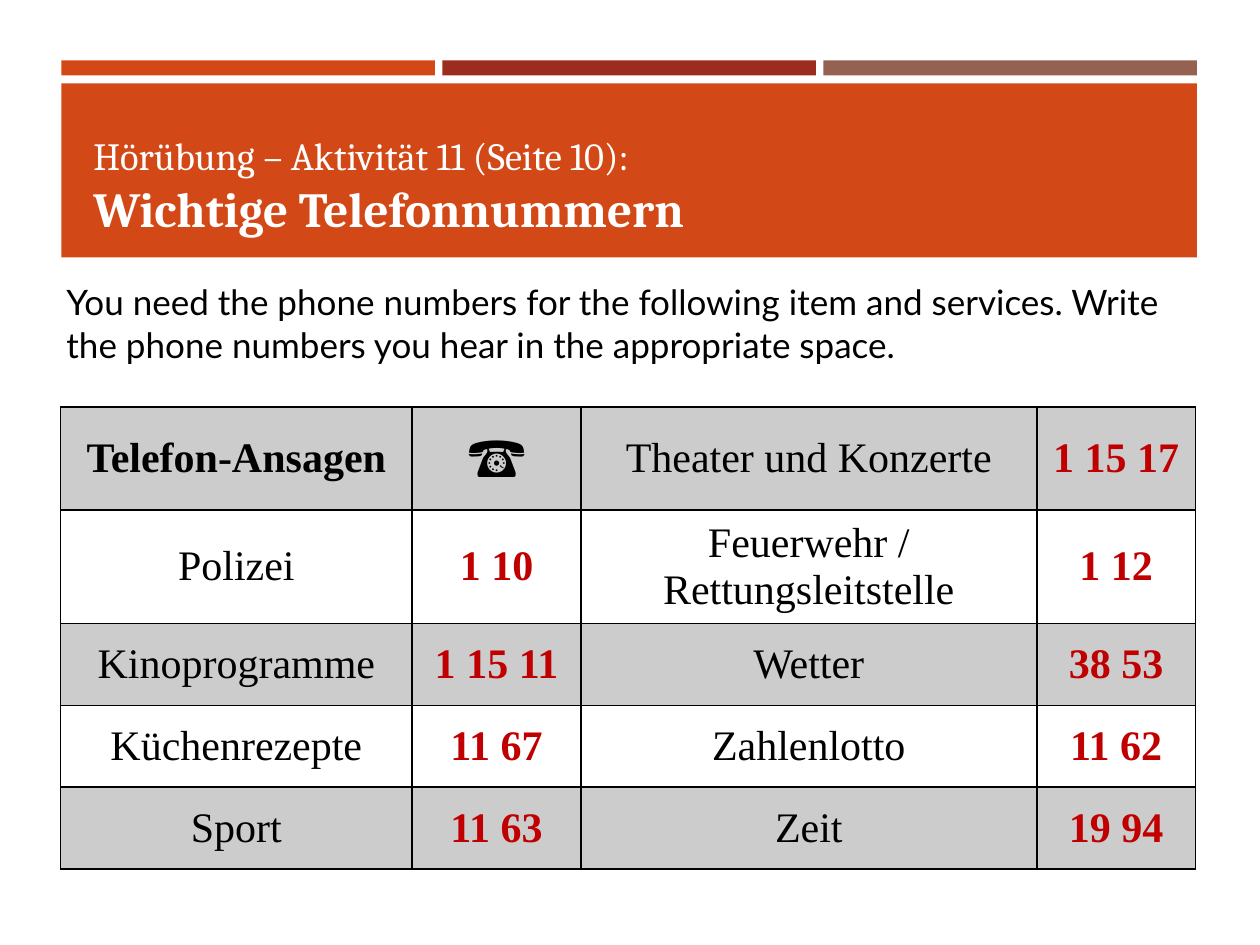
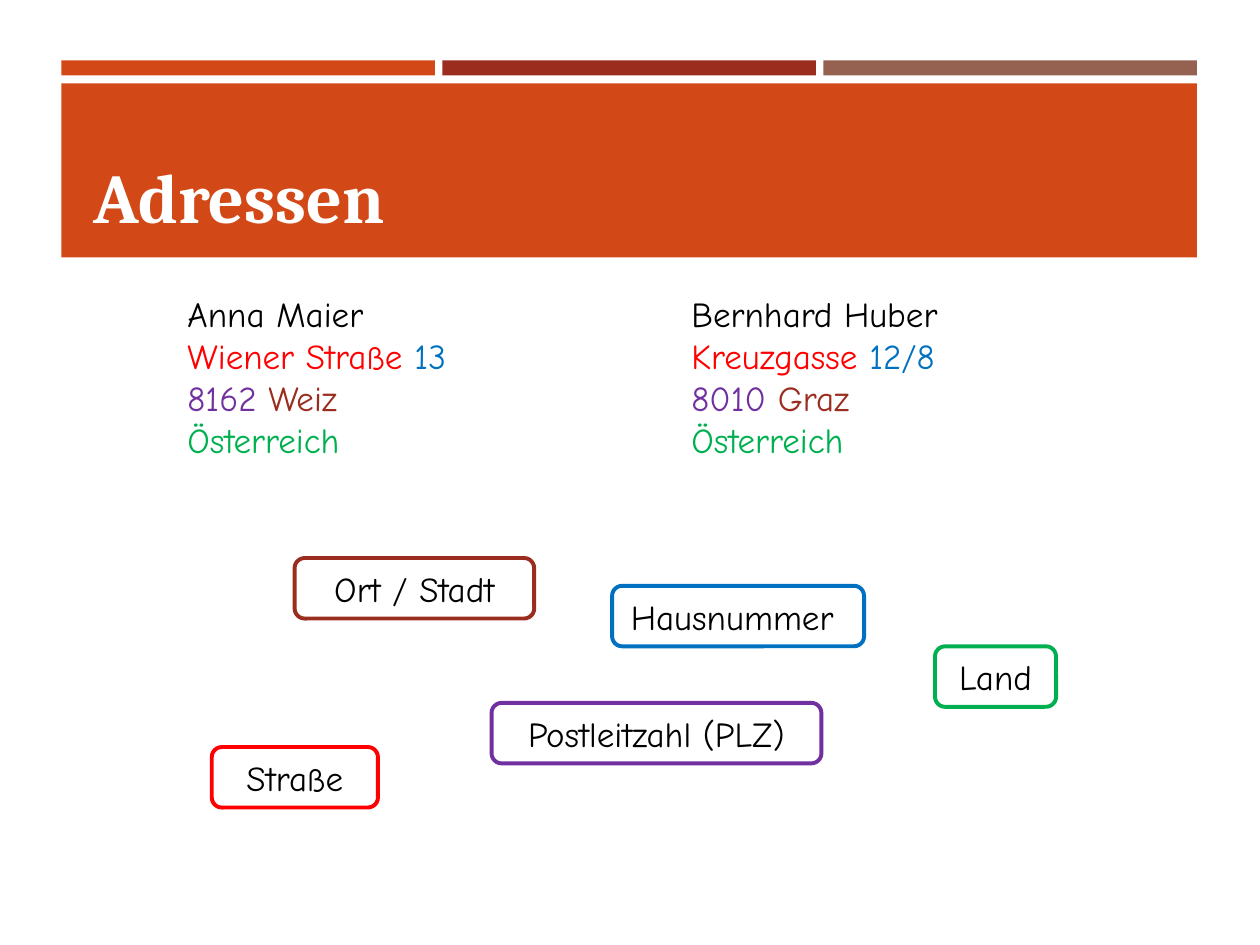
from lxml.etree import SubElement
from pptx import Presentation
from pptx.dml.color import RGBColor
from pptx.enum.shapes import MSO_SHAPE as Shape
from pptx.enum.text import MSO_ANCHOR as Anchor, MSO_AUTO_SIZE as AutoSize, PP_ALIGN as Align
from pptx.oxml.ns import qn
from pptx.util import Cm, Pt

COLORS = {
    "orange": "D34817", "brick": "9B2D1F", "brown": "956251",
    "white": "FFFFFF", "black": "000000", "number": "C00000",
    "red": "FF0000", "blue": "0070C0", "violet": "7030A0", "green": "00B050",
}
FONTS = {"title": "Cambria", "intro": "Lato", "table": "Times New Roman", "address": "Comic Neue"}

PHONE_ROWS = [
    ("Telefon-Ansagen", "☎", "Theater und Konzerte", "1 15 17"),
    ("Polizei", "1 10", "Feuerwehr / Rettungsleitstelle", "1 12"),
    ("Kinoprogramme", "1 15 11", "Wetter", "38 53"),
    ("Küchenrezepte", "11 67", "Zahlenlotto", "11 62"),
    ("Sport", "11 63", "Zeit", "19 94"),
]
COLUMN_WIDTHS = (7.09, 3.4, 9.19, 3.2)
ROW_HEIGHTS = (2.08, 2.11, 1.65, 1.65, 1.65)

ADDRESS_LINES = [
    [("Anna Maier\tBernhard Huber", "black")],
    [("Wiener Straße ", "red"), ("13\t", "blue"), ("Kreuzgasse ", "red"), ("12/8", "blue")],
    [("8162 ", "violet"), ("Weiz\t", "brick"), ("8010 ", "violet"), ("Graz", "brick")],
    [("Österreich\tÖsterreich", "green")],
]
ADDRESS_LABELS = [
    ("Straße", "red", 4.27, 15.06, 3.35),
    ("Hausnummer ", "blue", 12.34, 11.81, 5.08),
    ("Ort / Stadt", "brick", 5.94, 11.25, 4.83),
    ("Land", "green", 18.85, 13.03, 2.44),
    ("Postleitzahl (PLZ)", "violet", 9.91, 14.17, 6.65),
]


def rgb(name):
    """Return the named colour."""
    return RGBColor.from_string(COLORS[name])


def add_run(paragraph, text, font, size, color="black", bold=False):
    """Append one formatted run."""
    run = paragraph.add_run()
    run.text = text
    run.font.name = FONTS[font]
    run.font.size = Pt(size)
    run.font.bold = bold
    run.font.color.rgb = rgb(color)


def add_box(slide, kind, left, top, width, height, fill):
    """Add a flat filled shape without outline."""
    shape = slide.shapes.add_shape(kind, Cm(left), Cm(top), Cm(width), Cm(height))
    shape.shadow.inherit = False
    shape.fill.solid()
    shape.fill.fore_color.rgb = rgb(fill)
    shape.line.fill.background()
    return shape


def add_text_box(slide, left, top, width, height):
    """Add a wrapping text box and return its frame."""
    frame = slide.shapes.add_textbox(Cm(left), Cm(top), Cm(width), Cm(height)).text_frame
    frame.word_wrap = True
    return frame


def style_layout(layout, slide):
    """Move the header bands to the layout and place its title."""
    bands = [add_box(slide, Shape.RECTANGLE, 1.24 + 7.68 * index, 1.22, 7.53, 0.3, color)
             for index, color in enumerate(("orange", "brick", "brown"))]
    bands.append(add_box(slide, Shape.RECTANGLE, 1.24, 1.68, 22.89, 3.51, "orange"))
    for band in bands:
        layout.shapes.element.insert(2, band.element)
    title = layout.placeholders[0]
    title.left, title.top, title.width, title.height = Cm(1.63), Cm(1.91), Cm(22.2), Cm(3)


def set_title(slide, *lines):
    """Fill the title with lines of text, size and weight."""
    frame = slide.shapes.title.text_frame
    frame.auto_size = AutoSize.NONE
    frame.vertical_anchor = Anchor.BOTTOM
    paragraph = frame.paragraphs[0]
    paragraph.alignment = Align.LEFT
    for index, (text, size, bold) in enumerate(lines):
        if index:
            paragraph.add_line_break()
        add_run(paragraph, text, "title", size, "white", bold)


def format_cell(cell, shaded):
    """Give a cell thin black borders and an optional grey tint."""
    properties = cell._tc.get_or_add_tcPr()
    for side in ("lnL", "lnR", "lnT", "lnB"):
        border = SubElement(properties, qn(f"a:{side}"), w=str(Pt(1)))
        fill = SubElement(border, qn("a:solidFill"))
        SubElement(fill, qn("a:srgbClr"), val=COLORS["black"])
    if shaded:
        cell.fill.solid()
        cell.fill.fore_color.rgb = rgb("black")
        color = properties.find(qn("a:solidFill")).find(qn("a:srgbClr"))
        SubElement(color, qn("a:alpha"), val="20000")
    else:
        cell.fill.background()
    cell.vertical_anchor = Anchor.MIDDLE


def add_phone_table(slide):
    """Add the table of services and their numbers."""
    table = slide.shapes.add_table(
        len(ROW_HEIGHTS), len(COLUMN_WIDTHS), Cm(1.22), Cm(8.2),
        Cm(sum(COLUMN_WIDTHS)), Cm(sum(ROW_HEIGHTS))).table
    table.first_row = table.horz_banding = False
    for column, width in zip(table.columns, COLUMN_WIDTHS):
        column.width = Cm(width)
    for row_index, (row, height) in enumerate(zip(table.rows, ROW_HEIGHTS)):
        row.height = Cm(height)
        for column_index, text in enumerate(PHONE_ROWS[row_index]):
            cell = row.cells[column_index]
            format_cell(cell, shaded=row_index % 2 == 0)
            paragraph = cell.text_frame.paragraphs[0]
            paragraph.alignment = Align.CENTER
            is_phone = text == "☎"
            is_number = column_index % 2 == 1 and not is_phone
            add_run(paragraph, text, "table", 32 if is_phone else 24,
                    "number" if is_number else "black",
                    is_number or text == "Telefon-Ansagen")


def add_addresses(slide):
    """Write both addresses side by side with a tab stop."""
    frame = add_text_box(slide, 3.53, 5.77, 16.54, 3.68)
    for index, line in enumerate(ADDRESS_LINES):
        paragraph = frame.add_paragraph() if index else frame.paragraphs[0]
        tabs = SubElement(paragraph._p.get_or_add_pPr(), qn("a:tabLst"))
        SubElement(tabs, qn("a:tab"), pos=str(Cm(10.16)), algn="l")
        for text, color in line:
            add_run(paragraph, text, "address", 20, color)


def add_label(slide, text, color, left, top, width):
    """Add a rounded label outlined in the colour of its address part."""
    label = add_box(slide, Shape.ROUNDED_RECTANGLE, left, top, width, 1.22, "white")
    label.line.color.rgb = rgb(color)
    label.line.width = Pt(2.25)
    label.text_frame.word_wrap = False
    paragraph = label.text_frame.paragraphs[0]
    paragraph.alignment = Align.CENTER
    add_run(paragraph, text, "address", 20)


def main():
    """Build and save the two slides."""
    presentation = Presentation()
    presentation.slide_width, presentation.slide_height = Cm(25.4), Cm(19.05)
    layout = presentation.slide_layouts.get_by_name("Title Only")

    phone_slide = presentation.slides.add_slide(layout)
    style_layout(layout, phone_slide)
    set_title(phone_slide, ("Hörübung – Aktivität 11 (Seite 10):", 22, False),
              ("Wichtige Telefonnummern", 28, True))
    intro = add_text_box(phone_slide, 1.09, 5.54, 23.39, 1.96)
    add_run(intro.paragraphs[0],
            "You need the phone numbers for the following item and services. "
            "Write the phone numbers you hear in the appropriate space.", "intro", 20)
    add_phone_table(phone_slide)

    address_slide = presentation.slides.add_slide(layout)
    set_title(address_slide, ("Adressen", 40, True))
    add_addresses(address_slide)
    for label in ADDRESS_LABELS:
        add_label(address_slide, *label)

    presentation.save("out.pptx")


if __name__ == "__main__":
    main()
